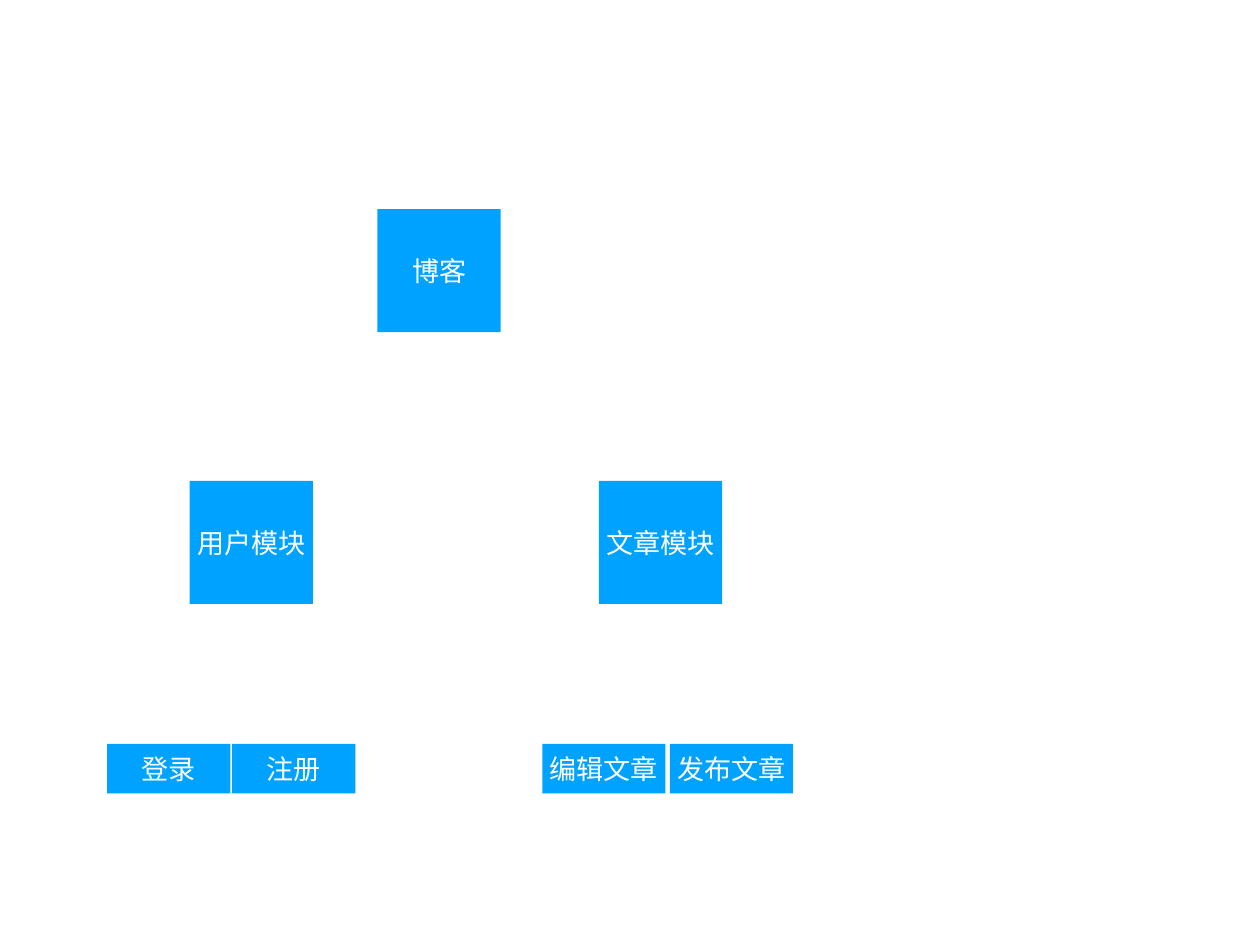
from dataclasses import dataclass

from pptx import Presentation
from pptx.dml.color import RGBColor
from pptx.enum.shapes import MSO_SHAPE
from pptx.enum.text import MSO_ANCHOR, PP_ALIGN
from pptx.slide import Slide
from pptx.util import Inches, Pt

RECTANGLE = MSO_SHAPE.RECTANGLE
MIDDLE = MSO_ANCHOR.MIDDLE
CENTER = PP_ALIGN.CENTER

COLORS = {"box": "00A2FF", "label": "FFFFFF"}
FONT = "Arial"
LABEL_SIZE = 22
BOX_WIDTH = 1.39
INSET = 0.06


@dataclass(frozen=True)
class Node:
    label: str
    left: float


@dataclass(frozen=True)
class Level:
    top: float
    height: float
    nodes: tuple[Node, ...]


BLOG_LEVELS = (
    Level(2.36, BOX_WIDTH, (Node("博客", 4.26),)),
    Level(5.43, BOX_WIDTH, (Node("用户模块", 2.14), Node("文章模块", 6.76))),
    Level(8.4, 0.56, (
        Node("登录", 1.21),
        Node("注册", 2.62),
        Node("发布文章", 7.56),
        Node("编辑文章", 6.12),
    )),
)


def draw_node(slide: Slide, node: Node, level: Level) -> None:
    box = slide.shapes.add_shape(
        RECTANGLE, Inches(node.left), Inches(level.top),
        Inches(BOX_WIDTH), Inches(level.height),
    )
    box.shadow.inherit = False
    box.fill.solid()
    box.fill.fore_color.rgb = RGBColor.from_string(COLORS["box"])
    box.line.fill.background()

    frame = box.text_frame
    frame.word_wrap = True
    frame.vertical_anchor = MIDDLE
    frame.margin_left = frame.margin_right = Inches(INSET)
    frame.margin_top = frame.margin_bottom = Inches(INSET)

    paragraph = frame.paragraphs[0]
    paragraph.alignment = CENTER
    label = paragraph.add_run()
    label.text = node.label
    label.font.name = FONT
    label.font.size = Pt(LABEL_SIZE)
    label.font.color.rgb = RGBColor.from_string(COLORS["label"])


def main() -> None:
    presentation = Presentation()
    presentation.slide_width = Inches(14.22)
    presentation.slide_height = Inches(10.67)
    blank_layout = presentation.slide_layouts[6]
    slide = presentation.slides.add_slide(blank_layout)
    for level in BLOG_LEVELS:
        for node in level.nodes:
            draw_node(slide, node, level)
    presentation.save("out.pptx")


if __name__ == "__main__":
    main()
